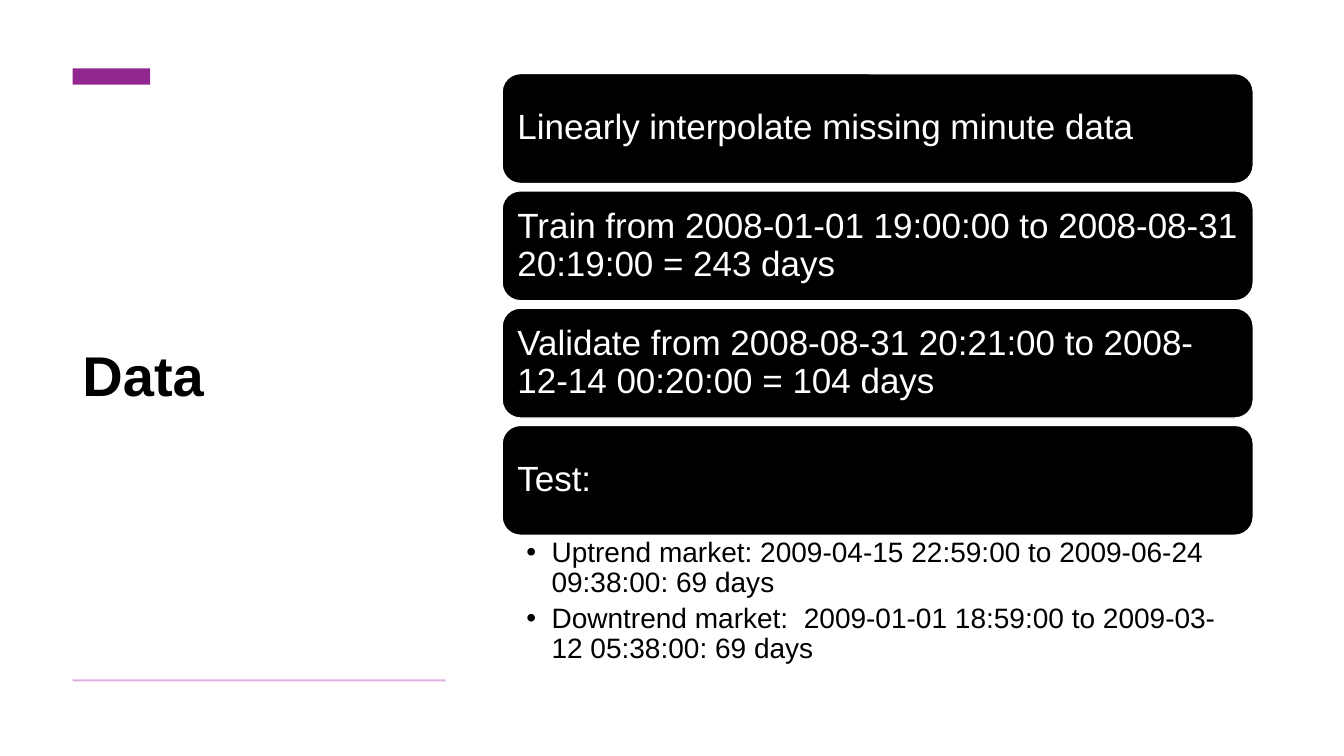
from lxml.etree import SubElement
from pptx import Presentation
from pptx.dml.color import RGBColor
from pptx.enum.shapes import MSO_SHAPE as SHAPE
from pptx.enum.text import MSO_ANCHOR as ANCHOR, PP_ALIGN as ALIGN
from pptx.oxml.ns import qn
from pptx.util import Pt

PX = 9144  # 100 px to the inch
COLORS = {
    "black": "000000",
    "white": "FFFFFF",
    "accent": "92278F",
    "rule": "E0AFE0",
}


def add_block(kind, left, top, width, height, color):
    block = slide.shapes.add_shape(kind, *(round(v * PX) for v in (left, top, width, height)))
    block.shadow.inherit = False
    block.fill.solid()
    block.fill.fore_color.rgb = RGBColor.from_string(COLORS[color])
    block.line.fill.background()
    return block


def write(shape, lines, size, color, insets, anchor=ANCHOR.MIDDLE, bold=False):
    """Fill a shape with left-aligned paragraphs; insets run left, top, right, bottom."""
    frame = shape.text_frame
    frame.word_wrap = True
    frame.vertical_anchor = anchor
    frame.margin_left, frame.margin_top, frame.margin_right, frame.margin_bottom = (
        inset * PX for inset in insets)
    frame.text = "\n".join(lines)
    for paragraph in frame.paragraphs:
        paragraph.alignment = ALIGN.LEFT
        paragraph.line_spacing = 0.9
        font = paragraph.runs[0].font
        font.name = "Arial"
        font.size = Pt(size)
        font.bold = bold
        font.color.rgb = RGBColor.from_string(COLORS[color])
    return frame.paragraphs


presentation = Presentation()
presentation.slide_width = 1333 * PX
presentation.slide_height = 750 * PX
slide = presentation.slides.add_slide(presentation.slide_layouts[6])

# Title column
title = slide.shapes.add_textbox(72 * PX, 105 * PX, 370 * PX, 541 * PX)
write(title, ["Data"], 40, "black", (10, 5, 10, 5), bold=True)
add_block(SHAPE.RECTANGLE, 72, 68, 77, 16, "accent")
add_block(SHAPE.RECTANGLE, 72, 674, 370, 2, "rule")

# Data preparation steps
steps = [
    "Linearly interpolate missing minute data",
    "Train from 2008-01-01 19:00:00 to 2008-08-31 20:19:00 = 243 days",
    "Validate from 2008-08-31 20:21:00 to 2008-12-14 00:20:00 = 104 days",
    "Test:",
]
STEP_LEFT, STEP_WIDTH, STEP_HEIGHT = 498, 745, 109
FIRST_TOP, LAST_TOP = 73, 422
pitch = (LAST_TOP - FIRST_TOP) / (len(steps) - 1)
for index, step in enumerate(steps):
    card = add_block(SHAPE.ROUNDED_RECTANGLE, STEP_LEFT, FIRST_TOP + index * pitch,
                     STEP_WIDTH, STEP_HEIGHT, "black")
    card.line.color.rgb = RGBColor.from_string(COLORS["white"])
    card.line.width = Pt(1)
    write(card, [step], 25, "white", (10, 10, 10, 10))

# Test periods
periods = [
    "Uptrend market: 2009-04-15 22:59:00 to 2009-06-24 09:38:00: 69 days",
    "Downtrend market:  2009-01-01 18:59:00 to 2009-03-12 05:38:00: 69 days",
]
test_periods = slide.shapes.add_textbox(STEP_LEFT * PX, (LAST_TOP + STEP_HEIGHT) * PX,
                                        STEP_WIDTH * PX, 139 * PX)
bullets = write(test_periods, periods, 20, "black", (24, 3, 19, 3), ANCHOR.TOP)
bullets[1].space_before = Pt(4)
for bullet in bullets:
    properties = bullet._p.get_or_add_pPr()
    properties.set("marL", str(25 * PX))
    properties.set("indent", str(-25 * PX))
    SubElement(properties, qn("a:buFont"), typeface="Arial")
    SubElement(properties, qn("a:buChar"), char="•")

presentation.save("out.pptx")
